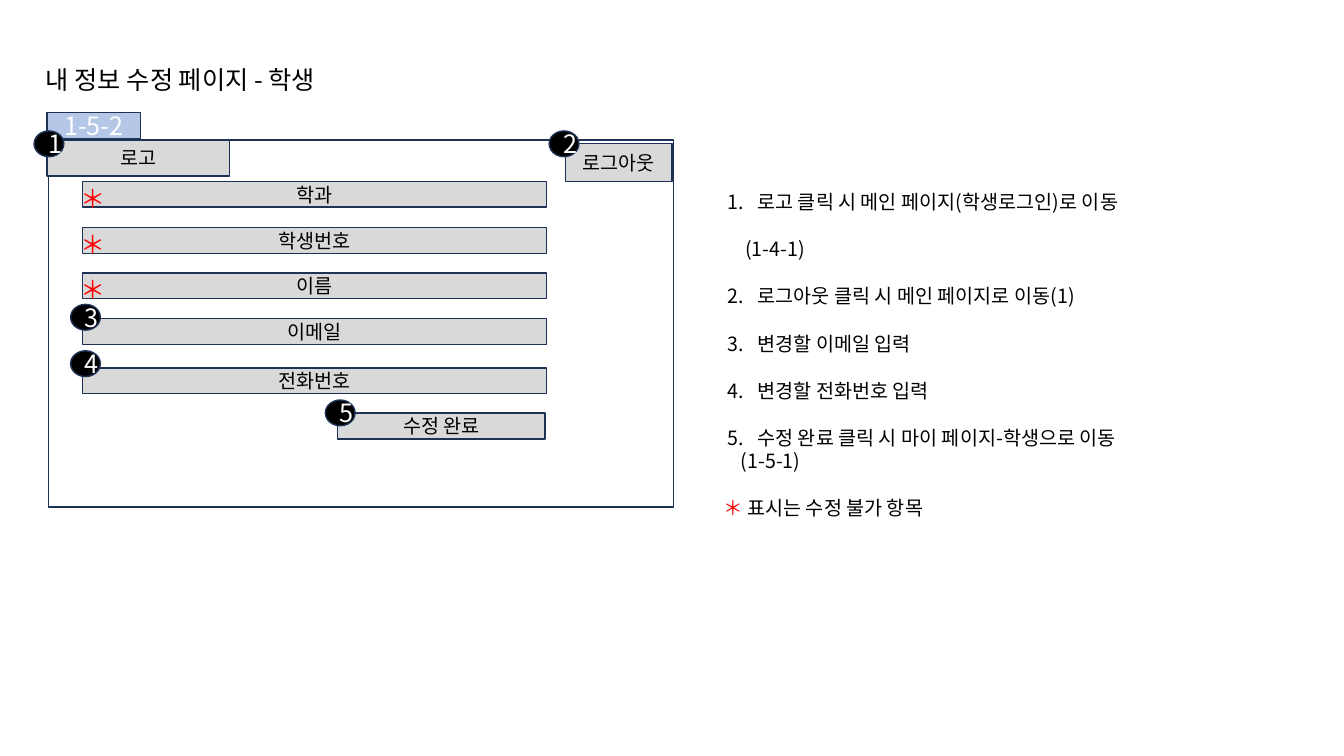
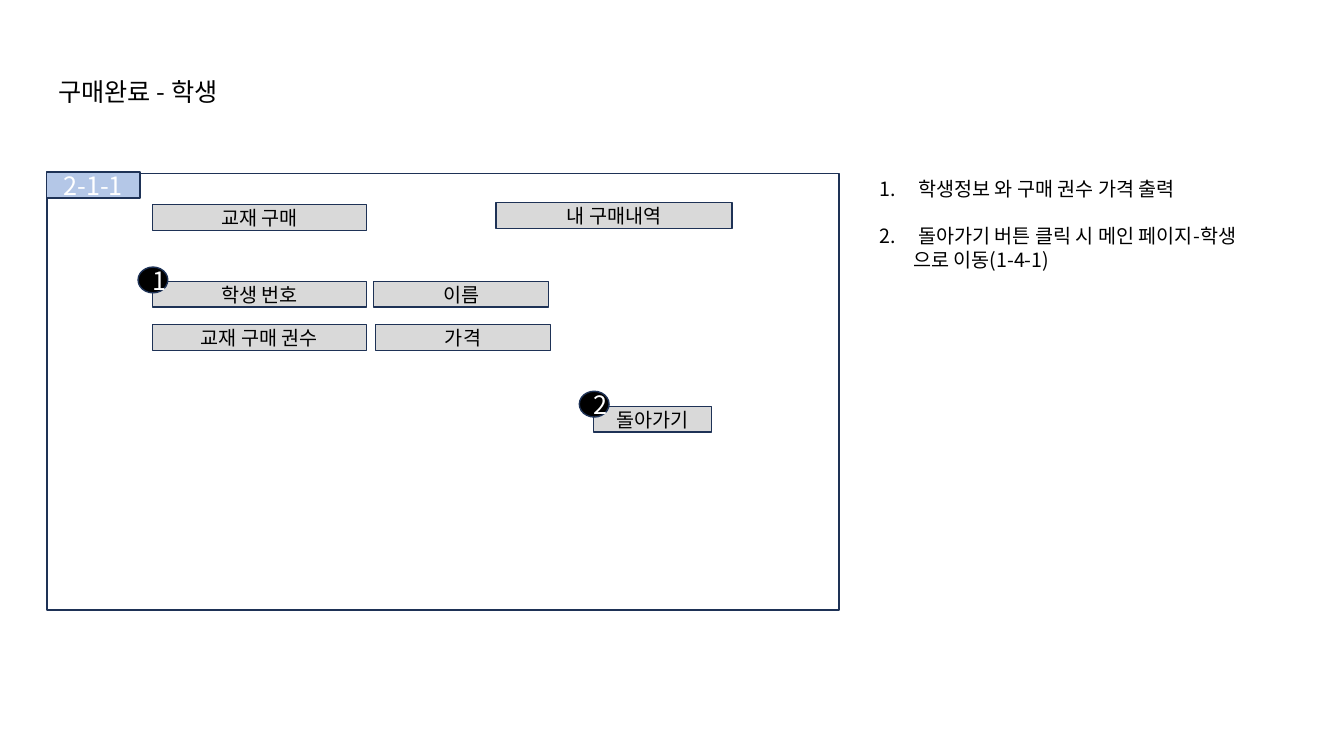
"""Build two wireframe pages for a student textbook service."""
from dataclasses import dataclass

from lxml.etree import SubElement
from pptx import Presentation
from pptx.dml.color import RGBColor
from pptx.enum.shapes import MSO_SHAPE
from pptx.enum.text import PP_ALIGN
from pptx.oxml.ns import qn
from pptx.util import Cm, Pt

FONT = "Noto Sans CJK KR"
WHITE, BLACK, RED = "FFFFFF", "000000", "FF0000"
GREY, TAG_BLUE, OUTLINE = "D9D9D9", "B4C7E7", "1E3256"
TITLE_SIZE, BODY_SIZE = 18, 14
ROW_HEIGHT = 0.65
LINE_GAP = 16.8


@dataclass(frozen=True)
class Area:
    left: float
    top: float
    width: float
    height: float = ROW_HEIGHT

    def lengths(self) -> tuple:
        return Cm(self.left), Cm(self.top), Cm(self.width), Cm(self.height)


@dataclass(frozen=True)
class Field:
    text: str
    area: Area
    locked: bool = False


@dataclass(frozen=True)
class Step:
    text: str
    number: int = 0
    margin: float = 0
    gap: bool = True
    mark: str = ""


@dataclass(frozen=True)
class Screen:
    title: str
    title_area: Area
    tag: str
    tag_area: Area
    frame: Area
    fields: list[Field]
    badges: list[tuple[float, float]]
    steps: list[Step]
    steps_area: Area
    number_left: float
    number_hang: float


def colour(value: str) -> RGBColor:
    return RGBColor.from_string(value)


def style_run(span, size: int, ink: str) -> None:
    span.font.size = Pt(size)
    span.font.name = FONT
    span.font.color.rgb = colour(ink)
    SubElement(span._r.get_or_add_rPr(), qn("a:ea")).set("typeface", FONT)


def add_block(page, kind, area: Area, fill: str, text: str = "",
              size: int = BODY_SIZE, ink: str = BLACK) -> None:
    block = page.shapes.add_shape(kind, *area.lengths())
    block.shadow.inherit = False
    block.fill.solid()
    block.fill.fore_color.rgb = colour(fill)
    block.line.color.rgb = colour(OUTLINE)
    block.line.width = Pt(1)
    if text:
        block.text_frame.text = text
        para = block.text_frame.paragraphs[0]
        para.alignment = PP_ALIGN.CENTER
        style_run(para.runs[0], size, ink)


def add_label(page, area: Area, text: str, ink: str = BLACK) -> None:
    box = page.shapes.add_textbox(*area.lengths())
    box.text_frame.word_wrap = True
    box.text_frame.text = text
    style_run(box.text_frame.paragraphs[0].runs[0], TITLE_SIZE, ink)


def add_steps(page, screen: Screen) -> None:
    frame = page.shapes.add_textbox(*screen.steps_area.lengths()).text_frame
    frame.word_wrap = True
    for index, step in enumerate(screen.steps):
        para = frame.add_paragraph() if index else frame.paragraphs[0]
        if index and step.gap:
            para.space_before = Pt(LINE_GAP)
        margin, hang = step.margin, 0.0
        properties = para._p.get_or_add_pPr()
        if step.number:
            hang = screen.number_hang
            margin = screen.number_left + hang
            numbering = SubElement(properties, qn("a:buAutoNum"))
            numbering.set("type", "arabicPeriod")
            numbering.set("startAt", str(step.number))
        properties.set("marL", str(Cm(margin)))
        properties.set("indent", str(Cm(-hang)))
        for text, ink in ((step.mark, RED), (step.text, BLACK)):
            if text:
                span = para.add_run()
                span.text = text
                style_run(span, BODY_SIZE, ink)


def add_screen(deck, screen: Screen) -> None:
    page = deck.slides.add_slide(deck.slide_layouts[6])
    add_label(page, screen.title_area, screen.title)
    add_block(page, MSO_SHAPE.RECTANGLE, screen.frame, WHITE)
    add_block(page, MSO_SHAPE.RECTANGLE, screen.tag_area, TAG_BLUE,
              screen.tag, TITLE_SIZE, WHITE)
    for field in screen.fields:
        add_block(page, MSO_SHAPE.RECTANGLE, field.area, GREY, field.text)
        if field.locked:
            star_area = Area(field.area.left - 0.3, field.area.top - 0.08, 1.15, 1.02)
            add_label(page, star_area, "＊", RED)
    for number, (left, top) in enumerate(screen.badges, 1):
        add_block(page, MSO_SHAPE.OVAL, Area(left, top, 0.75), BLACK,
                  str(number), TITLE_SIZE, WHITE)
    add_steps(page, screen)


EDIT_ROWS = [("학과", 4.57, True), ("학생번호", 5.74, True), ("이름", 6.88, True),
             ("이메일", 8.03, False), ("전화번호", 9.27, False)]

SCREENS = [
    Screen(
        title="내 정보 수정 페이지 - 학생",
        title_area=Area(0.91, 1.5, 9.22, 1.02),
        tag="1-5-2",
        tag_area=Area(1.19, 2.84, 2.36),
        frame=Area(1.22, 3.53, 15.75, 9.25),
        fields=[Field(text, Area(2.08, top, 11.7), locked)
                for text, top, locked in EDIT_ROWS] + [
            Field("수정 완료", Area(8.51, 10.41, 5.23)),
            Field("로그아웃", Area(14.25, 3.61, 2.69, 0.97)),
            Field("로고", Area(1.19, 3.53, 4.6, 0.91)),
        ],
        badges=[(0.86, 3.3), (13.84, 3.3), (1.78, 7.67), (1.78, 8.84), (8.2, 10.08)],
        steps=[
            Step("로고 클릭 시 메인 페이지(학생로그인)로 이동", 1),
            Step("(1-4-1)", margin=0.55),
            Step("로그아웃 클릭 시 메인 페이지로 이동(1)", 2),
            Step("변경할 이메일 입력", 3),
            Step("변경할 전화번호 입력", 4),
            Step("수정 완료 클릭 시 마이 페이지-학생으로 이동", 5),
            Step("(1-5-1)", margin=0.44, gap=False),
            Step(" 표시는 수정 불가 항목", mark="＊"),
        ],
        steps_area=Area(17.98, 4.67, 12.52, 8.5),
        number_left=0.11,
        number_hang=0.75,
    ),
    Screen(
        title="구매완료 - 학생",
        title_area=Area(1.22, 1.8, 5.31, 1.02),
        tag="2-1-1",
        tag_area=Area(1.17, 4.34, 2.36),
        frame=Area(1.19, 4.37, 19.96, 11),
        fields=[
            Field("교재 구매", Area(3.84, 5.16, 5.4)),
            Field("내 구매내역", Area(12.5, 5.11, 5.95)),
            Field("학생 번호", Area(3.84, 7.09, 5.4)),
            Field("이름", Area(9.42, 7.09, 4.4)),
            Field("교재 구매 권수", Area(3.84, 8.18, 5.4)),
            Field("가격", Area(9.47, 8.18, 4.4)),
            Field("돌아가기", Area(14.96, 10.24, 2.98)),
        ],
        badges=[(3.48, 6.73), (14.6, 9.86)],
        steps=[
            Step("학생정보 와 구매 권수 가격 출력", 1),
            Step("돌아가기 버튼 클릭 시 메인 페이지-학생", 2),
            Step("으로 이동(1-4-1)", margin=0.84, gap=False),
        ],
        steps_area=Area(21.92, 4.34, 11.94, 2.64),
        number_left=0,
        number_hang=0.97,
    ),
]


def main() -> None:
    deck = Presentation()
    deck.slide_width, deck.slide_height = Cm(33.87), Cm(19.05)
    for screen in SCREENS:
        add_screen(deck, screen)
    deck.save("out.pptx")


if __name__ == "__main__":
    main()
